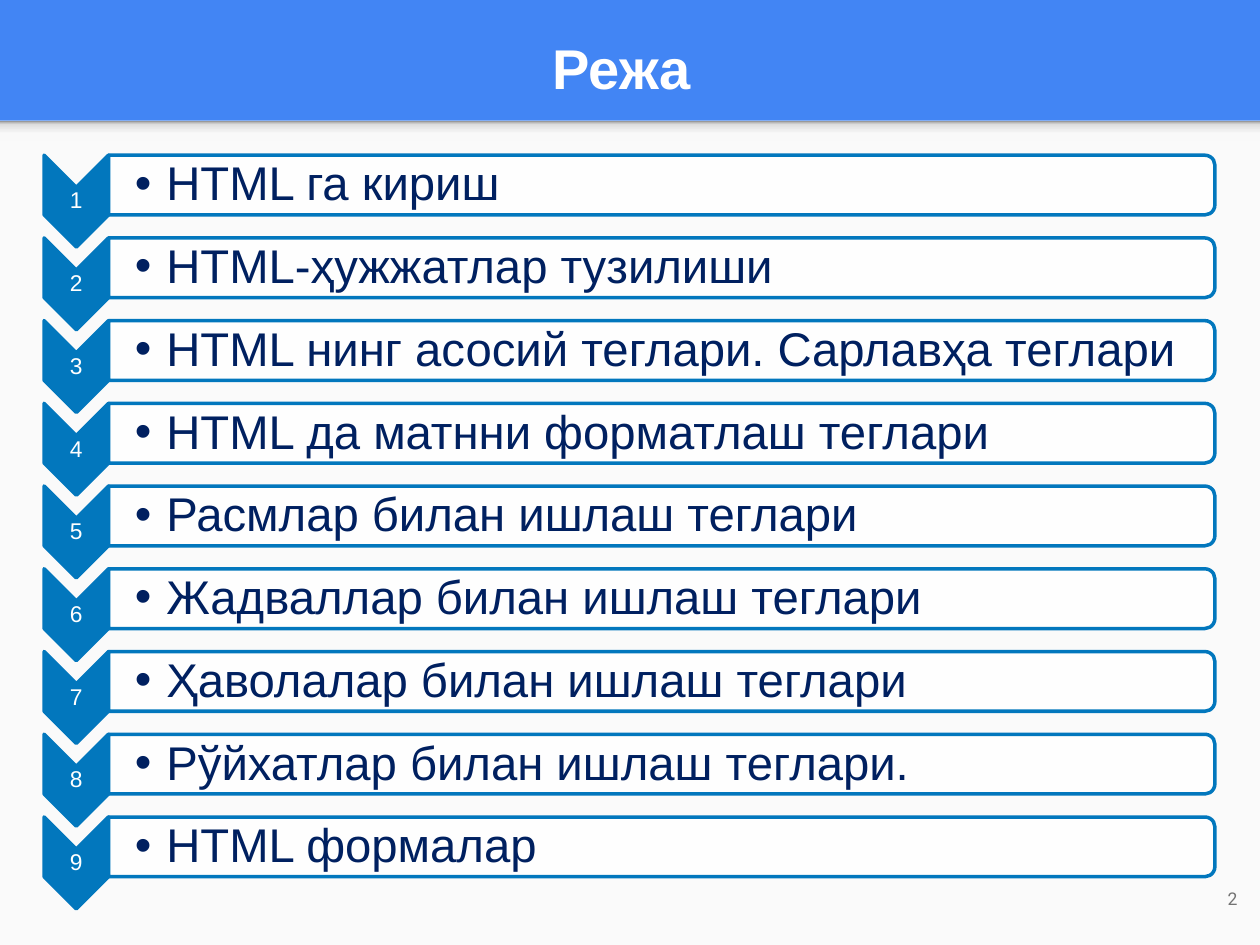
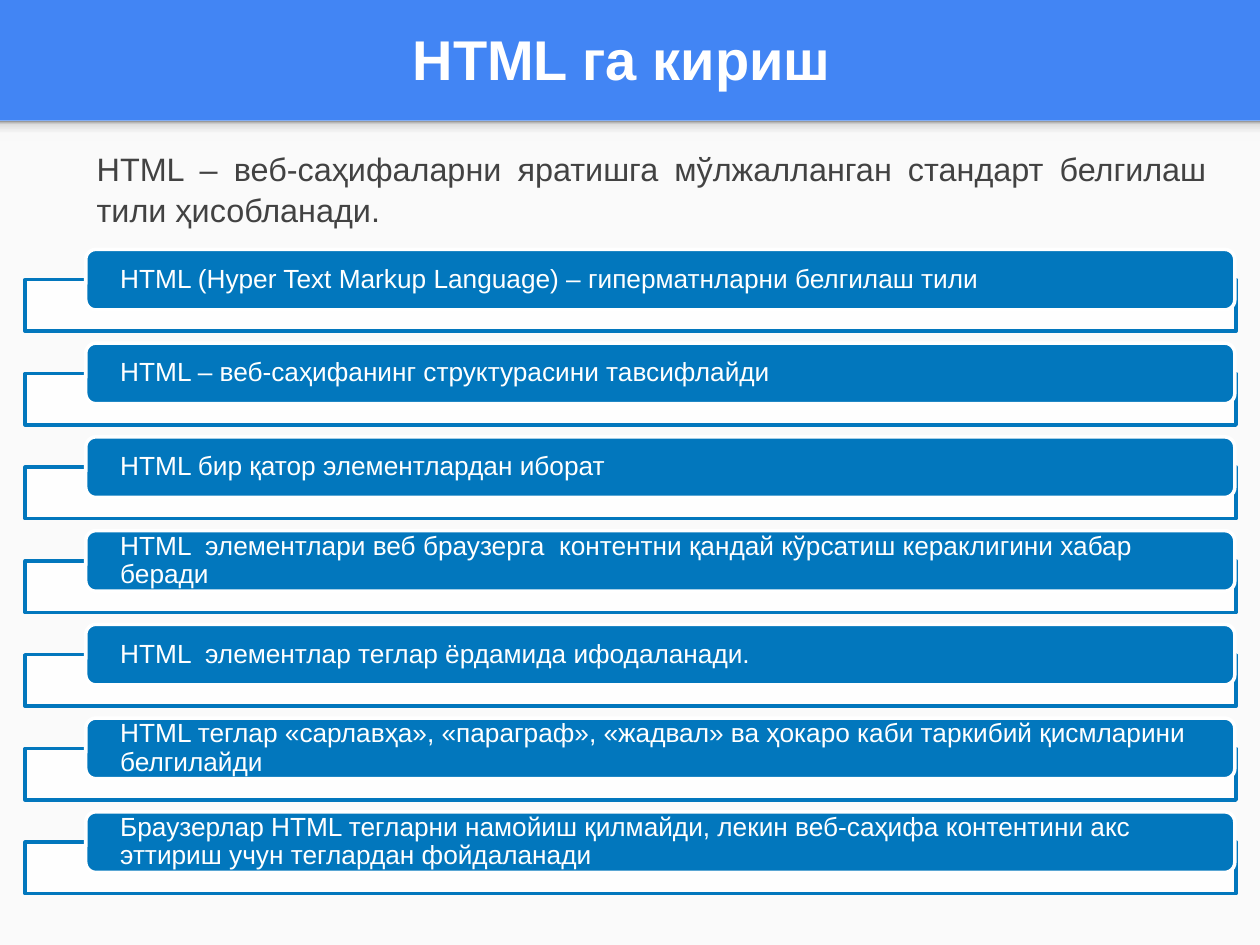
from lxml import etree
from pptx import Presentation
from pptx.dml.color import RGBColor
from pptx.enum.shapes import MSO_SHAPE
from pptx.enum.text import MSO_ANCHOR, PP_ALIGN
from pptx.oxml.ns import qn
from pptx.util import Pt

RECTANGLE = MSO_SHAPE.RECTANGLE
ROUNDED = MSO_SHAPE.ROUNDED_RECTANGLE
ROUNDED_TOP = MSO_SHAPE.ROUND_2_SAME_RECTANGLE
CHEVRON = MSO_SHAPE.CHEVRON
LEFT, CENTER, RIGHT, JUSTIFY = (
    PP_ALIGN.LEFT, PP_ALIGN.CENTER, PP_ALIGN.RIGHT, PP_ALIGN.JUSTIFY)
TOP, MIDDLE, BOTTOM = MSO_ANCHOR.TOP, MSO_ANCHOR.MIDDLE, MSO_ANCHOR.BOTTOM

TITLE_ONLY = 5
COLORS = {
    "header": "4285F4",
    "panel": "FAFAFA",
    "accent": "0277BD",
    "white": "FFFFFF",
    "navy": "002060",
    "body": "424242",
    "page_number": "737373",
}
SHADE_STOPS = ((0, "F9F9F9"), (36, "F9F9F9"), (80, "DEDEDE"), (100, "999999"))

# Margins run left, top, right, bottom.
TITLE = {"size": 32, "color": "white", "bold": True, "align": CENTER,
         "margins": (7.2,) * 4}
STEP_NUMBER = {"size": 13, "color": "white", "align": CENTER, "spacing": 0.9,
               "margins": (0.72,) * 4}
STEP_TEXT = {"size": 27, "color": "navy", "spacing": 0.9, "bullet": True,
             "margins": (15.1, 1.4, 1.4, 1.4)}
INTRO = {"size": 18.5, "color": "body", "align": JUSTIFY, "spacing": 1.05,
         "anchor": TOP, "margins": (7.2,) * 4}
FACT = {"size": 15, "color": "white", "spacing": 0.9, "margins": (18, 0, 18, 0)}
PAGE_NUMBER = {"size": 10, "color": "page_number", "font": "Roboto",
               "align": RIGHT, "margins": (7.2,) * 4}

PLAN_TOPICS = (
    "HTML га кириш",
    "HTML-ҳужжатлар тузилиши",
    "HTML нинг асосий теглари. Сарлавҳа теглари",
    "HTML да матнни форматлаш теглари",
    "Расмлар билан ишлаш теглари",
    "Жадваллар билан ишлаш теглари",
    "Ҳаволалар билан ишлаш теглари",
    "Рўйхатлар билан ишлаш теглари.",
    "HTML формалар",
)
HTML_FACTS = (
    "HTML (Hyper Text Markup Language) – гиперматнларни белгилаш тили",
    "HTML – веб-саҳифанинг структурасини тавсифлайди",
    "HTML бир қатор элементлардан иборат",
    "HTML  элементлари веб браузерга  контентни қандай кўрсатиш "
    "кераклигини хабар беради",
    "HTML  элементлар теглар ёрдамида ифодаланади.",
    "HTML теглар «сарлавҳа», «параграф», «жадвал» ва ҳокаро каби таркибий "
    "қисмларини белгилайди",
    "Браузерлар HTML тегларни намойиш қилмайди, лекин веб-саҳифа контентини "
    "акс эттириш учун теглардан фойдаланади",
)


def color(name):
    return RGBColor.from_string(COLORS[name])


def assign(target, values):
    for name, value in values.items():
        setattr(target, name, value)


class Deck:
    def __init__(self):
        self.presentation = Presentation()
        assign(self.presentation,
               {"slide_width": Pt(720), "slide_height": Pt(540)})
        background = self.presentation.slide_master.background.fill
        background.solid()
        background.fore_color.rgb = color("header")
        self.page = None

    def add_page(self, title, anchor):
        layout = self.presentation.slide_layouts[TITLE_ONLY]
        self.page = self.presentation.slides.add_slide(layout)
        self.shape(RECTANGLE, (0, 69, 720, 471), "panel")
        self.shade(self.shape(RECTANGLE, (0, 69, 720, 11.5)))
        heading = self.page.shapes.title
        place = (7.9, 1.4, 694.8, 63.4)
        assign(heading, dict(zip(("left", "top", "width", "height"),
                                 map(Pt, place))))
        self.fill_text(heading, title, TITLE | {"anchor": anchor})

    def shape(self, kind, place, fill=None, line=None, alpha=None, turned=False):
        """Add a shape; a turned one covers `place` after a quarter turn."""
        left, top, width, height = place
        if turned:
            left += (width - height) / 2
            top += (height - width) / 2
            width, height = height, width
        shape = self.page.shapes.add_shape(
            kind, *map(Pt, (left, top, width, height)))
        shape.rotation = 90 if turned else 0
        shape.shadow.inherit = False
        if fill:
            shape.fill.solid()
            shape.fill.fore_color.rgb = color(fill)
        if alpha:
            tint = shape.element.spPr.find(qn("a:solidFill"))[0]
            etree.SubElement(tint, qn("a:alpha"), val=str(alpha * 1000))
        if line:
            shape.line.color.rgb = color(line)
            shape.line.width = Pt(2)
        else:
            shape.line.fill.background()
        return shape

    def shade(self, shape):
        """Fill the shape with the header's shadow, darkest at the top."""
        gradient = etree.Element(qn("a:gradFill"), rotWithShape="1")
        stops = etree.SubElement(gradient, qn("a:gsLst"))
        for position, tone in SHADE_STOPS:
            stop = etree.SubElement(stops, qn("a:gs"), pos=str(position * 1000))
            etree.SubElement(stop, qn("a:srgbClr"), val=tone)
        etree.SubElement(gradient, qn("a:lin"), ang="16200000", scaled="0")
        shape.element.spPr.find(qn("a:prstGeom")).addnext(gradient)

    def text(self, place, words, style):
        box = self.page.shapes.add_textbox(*map(Pt, place))
        self.fill_text(box, words, style)

    def fill_text(self, box, words, style):
        frame = box.text_frame
        sides = ("margin_left", "margin_top", "margin_right", "margin_bottom")
        assign(frame, dict(zip(sides, map(Pt, style["margins"]))))
        assign(frame, {"word_wrap": True,
                       "vertical_anchor": style.get("anchor", MIDDLE)})
        para = frame.paragraphs[0]
        assign(para, {"alignment": style.get("align", LEFT),
                      "line_spacing": style.get("spacing", 1.0)})
        if style.get("bullet"):
            self.bullet(para)
        span = para.add_run()
        span.text = words
        assign(span.font, {"name": style.get("font", "Arial"),
                           "size": Pt(style["size"]),
                           "bold": style.get("bold", False)})
        span.font.color.rgb = color(style["color"])

    def bullet(self, para):
        properties = para._p.get_or_add_pPr()
        for name, indent in {"marL": Pt(18), "indent": Pt(-18)}.items():
            properties.set(name, str(int(indent)))
        etree.SubElement(properties, qn("a:buFont"), typeface="Arial")
        etree.SubElement(properties, qn("a:buChar"), char="•")

    def step(self, top, number, topic):
        self.shape(CHEVRON, (25.2, top, 36.8, 52.5), "accent", "accent",
                   turned=True)
        self.text((25.2, top + 18.6, 36.8, 15.7), str(number), STEP_NUMBER)
        self.shape(ROUNDED_TOP, (62, top, 632.2, 34.1), "white", "accent",
                   alpha=90, turned=True)
        self.text((62, top + 1.9, 630.7, 31), topic, STEP_TEXT)

    def fact(self, top, words):
        self.shape(RECTANGLE, (14.4, top + 17.3, 691.9, 29.5), "white",
                   "accent", alpha=90)
        bar = self.shape(ROUNDED, (49, top, 656.6, 34.6), "accent", "white")
        self.fill_text(bar, words, FACT)


def main():
    deck = Deck()

    deck.add_page("Режа", BOTTOM)
    for index, topic in enumerate(PLAN_TOPICS):
        deck.step(88.7 + index * 47.27, index + 1, topic)
    deck.text((671, 493.2, 43.2, 41), "2", PAGE_NUMBER)

    deck.add_page("HTML га кириш", MIDDLE)
    deck.text((48.2, 77, 648, 62.6),
              "HTML – веб-саҳифаларни яратишга мўлжалланган стандарт белгилаш "
              "тили ҳисобланади.", INTRO)
    for index, words in enumerate(HTML_FACTS):
        deck.fact(142.5 + index * 53.57, words)

    deck.presentation.save("out.pptx")


if __name__ == "__main__":
    main()
